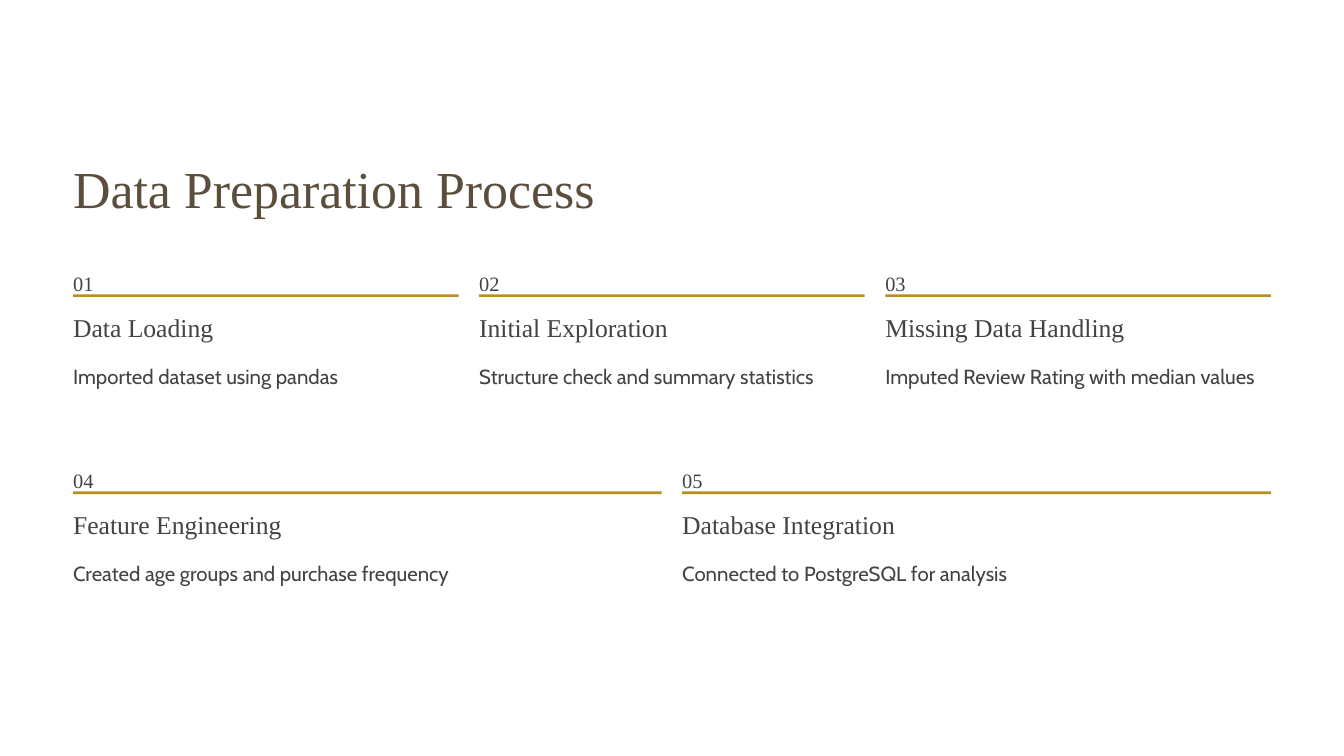
import pptx
import pptx.dml.color
import pptx.enum.shapes
import pptx.enum.text
import pptx.util
from dataclasses import dataclass

Cm = pptx.util.Cm
Pt = pptx.util.Pt


@dataclass(frozen=True)
class Theme:
    title_color: str = "5C4E3D"
    text_color: str = "454240"
    accent: str = "B88E23"
    serif: str = "Times New Roman"
    sans: str = "Cabin"
    title_size: float = 44.5
    heading_size: float = 22
    text_size: float = 17.5
    title_leading: float = 55.5
    heading_leading: float = 27.5
    text_leading: float = 28.5


class SlideBuilder:
    def __init__(self, page, theme):
        self.page = page
        self.theme = theme

    def fill_text(self, box, text, font, size, leading, color, wrap=False):
        frame = box.text_frame
        frame_format = {
            "margin_left": 0, "margin_top": 0, "margin_right": 0, "margin_bottom": 0,
            "word_wrap": wrap,
            "auto_size": pptx.enum.text.MSO_AUTO_SIZE.NONE,
            "vertical_anchor": pptx.enum.text.MSO_ANCHOR.TOP,
        }
        for name, value in frame_format.items():
            setattr(frame, name, value)
        para = frame.paragraphs[0]
        para_format = {
            "alignment": pptx.enum.text.PP_ALIGN.LEFT,
            "line_spacing": Pt(leading),
            "space_before": Pt(0),
        }
        for name, value in para_format.items():
            setattr(para, name, value)
        span = para.add_run()
        span.text = text
        for name, value in {"name": font, "size": Pt(size), "bold": False}.items():
            setattr(span.font, name, value)
        span.font.color.rgb = pptx.dml.color.RGBColor.from_string(color)

    def title(self, text, left, top, width, height):
        box = self.page.shapes.title
        place = {"left": left, "top": top, "width": width, "height": height}
        for name, value in place.items():
            setattr(box, name, Cm(value))
        theme = self.theme
        self.fill_text(box, text, theme.serif, theme.title_size,
                       theme.title_leading, theme.title_color)

    def text(self, text, left, top, width, height, font, size, leading, wrap=False):
        box = self.page.shapes.add_textbox(Cm(left), Cm(top), Cm(width), Cm(height))
        self.fill_text(box, text, font, size, leading, self.theme.text_color, wrap)

    def rule(self, left, top, width):
        bar = self.page.shapes.add_shape(
            pptx.enum.shapes.MSO_SHAPE.RECTANGLE, Cm(left), Cm(top), Cm(width), Cm(0.08))
        bar.shadow.inherit = False
        bar.fill.solid()
        bar.fill.fore_color.rgb = pptx.dml.color.RGBColor.from_string(self.theme.accent)
        bar.line.fill.background()

    def step(self, number, heading, detail, left, top, width):
        theme = self.theme
        self.text(f"{number:02d}", left, top, 0.64, 0.79,
                  theme.serif, theme.text_size, theme.text_leading)
        self.rule(left, top + 0.98, width)
        self.text(heading, left, top + 1.46, 9.2, 0.99,
                  theme.serif, theme.heading_size, theme.heading_leading)
        self.text(detail, left, top + 2.82, width, 1.02,
                  theme.sans, theme.text_size, theme.text_leading, wrap=True)


# Steps, one list per row
ROWS = [
    [("Data Loading", "Imported dataset using pandas"),
     ("Initial Exploration", "Structure check and summary statistics"),
     ("Missing Data Handling", "Imputed Review Rating with median values")],
    [("Feature Engineering", "Created age groups and purchase frequency"),
     ("Database Integration", "Connected to PostgreSQL for analysis")],
]

# Grid in centimetres
LEFT, CONTENT_WIDTH, GAP = 2.21, 36.22, 0.62
FIRST_ROW, ROW_PITCH = 7.92, 5.96


def main():
    deck = pptx.Presentation()
    deck.slide_width = Cm(40.64)
    deck.slide_height = Cm(22.86)
    page = deck.slides.add_slide(deck.slide_layouts[5])
    builder = SlideBuilder(page, Theme())

    # Title
    builder.title("Data Preparation Process", LEFT, 4.67, 20.17, 1.98)

    # Each row shares the full width equally among its steps
    number = 1
    for row, steps in enumerate(ROWS):
        width = (CONTENT_WIDTH - GAP * (len(steps) - 1)) / len(steps)
        for column, (heading, detail) in enumerate(steps):
            builder.step(number, heading, detail, LEFT + column * (width + GAP),
                         FIRST_ROW + row * ROW_PITCH, width)
            number += 1

    deck.save("out.pptx")


if __name__ == "__main__":
    main()
